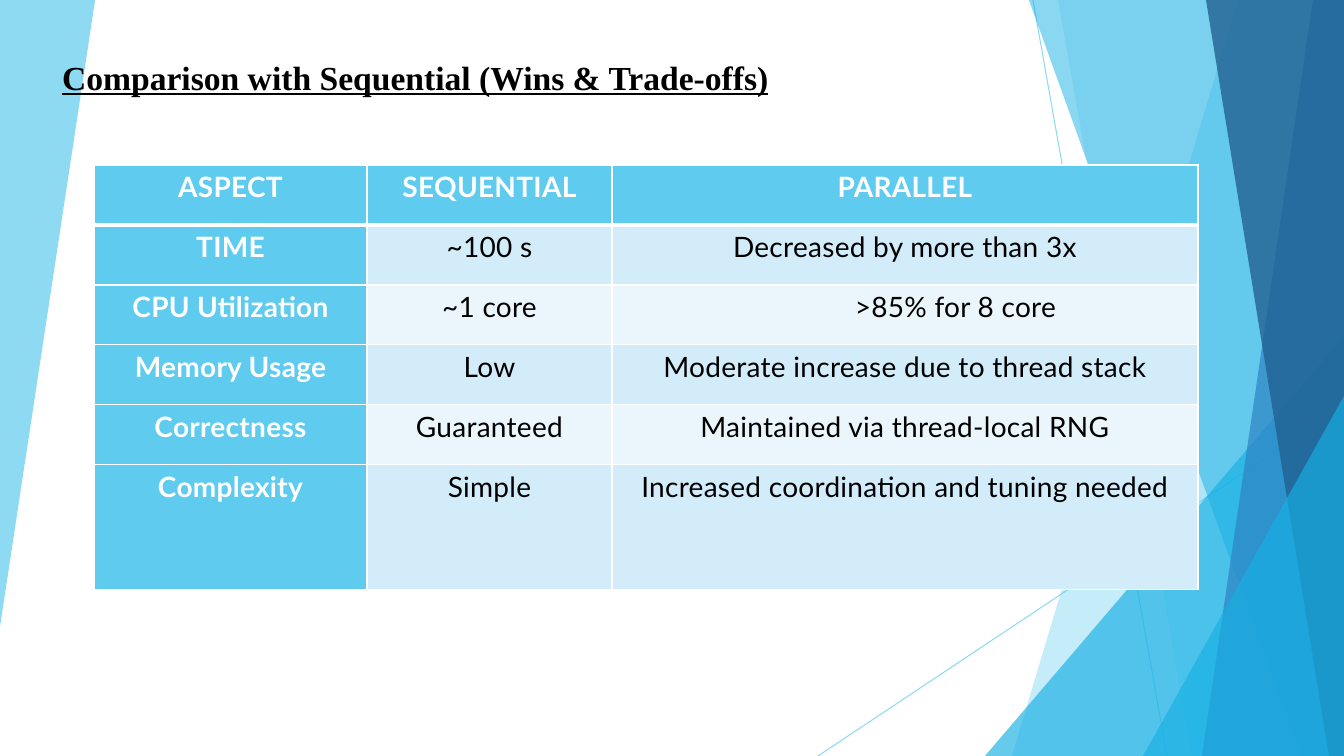
"""Build the slide that compares sequential and parallel runs."""
from lxml import etree
from pptx import Presentation
from pptx.dml.color import RGBColor
from pptx.enum.shapes import MSO_CONNECTOR, MSO_SHAPE
from pptx.enum.text import MSO_ANCHOR, MSO_AUTO_SIZE, PP_ALIGN
from pptx.oxml.ns import qn
from pptx.util import Emu, Pt

STRAIGHT = MSO_CONNECTOR.STRAIGHT
TRIANGLE = MSO_SHAPE.ISOSCELES_TRIANGLE
MIDDLE = MSO_ANCHOR.MIDDLE
NO_FIT = MSO_AUTO_SIZE.NONE
LEFT, CENTER = PP_ALIGN.LEFT, PP_ALIGN.CENTER


class Theme:
    sky, cyan, blue, navy = "5FCBEF", "17B0E4", "2E83C3", "226292"
    white, black = "FFFFFF", "000000"
    bands = "D2ECF9", "EAF6FC"
    head_font, body_font = "Times New Roman", "Lato"
    head_size, body_size = 24, 20
    thin, thick, ray = 1, 3, 0.75


TITLE = "Comparison with Sequential (Wins & Trade-offs)"
ROWS = [
    ("ASPECT", "SEQUENTIAL", "PARALLEL"),
    ("TIME", "~100 s", "Decreased by more than 3x"),
    ("CPU Utilization", "~1 core", ">85% for 8 core"),
    ("Memory Usage", "Low", "Moderate increase due to thread stack"),
    ("Correctness", "Guaranteed", "Maintained via thread-local RNG"),
    ("Complexity", "Simple", "Increased coordination and tuning needed"),
]
SHIFTED = (2, 2)
SHIFT = 101

WIDE, HIGH = 1344, 756
SCALE = 914400 / 100.8
TITLE_BOX = (52, 52, 1240, 50)
TABLE_AT = (94, 165)
COLS = (273, 245, 586)
HEIGHTS = (60, 60, 60, 60, 60, 125)
RAYS = [((1033, 0), (1167, HIGH)), ((WIDE, 406), (818, HIGH))]
FLANK = [(0, 0), (95, 0), (95, 1), (0, 627)]
SHARDS = [
    ("pane", 1238, 1012, Theme.sky, 36),
    ("pane", 1058, 1192, Theme.sky, 20),
    ("wedge", 985, 336, Theme.cyan, 66),
    ("pane", 1029, 1301, Theme.cyan, 50),
    ("pane", 1313, 1202, Theme.blue, 70),
    ("pane", 1206, 1329, Theme.navy, 80),
    ("wedge", 1143, 396, Theme.cyan, 66),
]


def px(*nums):
    return [Emu(round(num * SCALE)) for num in nums]


def rgb(code):
    return RGBColor.from_string(code)


def fade(fill, share):
    color = next(fill.iter(qn("a:srgbClr")))
    etree.SubElement(color, qn("a:alpha"), val=str(share * 1000))


def paint(shape, color, share):
    shape.shadow.inherit = False
    shape.fill.solid()
    shape.fill.fore_color.rgb = rgb(color)
    shape.line.fill.background()
    fade(shape.fill._xPr.find(qn("a:solidFill")), share)


def draw_pane(shapes, points, color, share):
    pen = shapes.build_freeform(*points[0], scale=SCALE)
    pen.add_line_segments(points[1:], close=True)
    paint(pen.convert_to_shape(), color, share)


def draw_wedge(shapes, left, top, color, share):
    box = px(left, top, WIDE - left, HIGH - top)
    wedge = shapes.add_shape(TRIANGLE, *box)
    wedge.adjustments[0] = 1
    paint(wedge, color, share)


def draw_ray(shapes, start, end):
    ray = shapes.add_connector(STRAIGHT, *px(*start, *end))
    ray.line.color.rgb = rgb(Theme.sky)
    ray.line.width = Pt(Theme.ray)
    props = ray._element.spPr
    fade(props.find(qn("a:ln")), 70)
    etree.SubElement(props, qn("a:effectLst"))


def draw_scene(shapes):
    draw_pane(shapes, FLANK, Theme.sky, 70)
    for start, end in RAYS:
        draw_ray(shapes, start, end)
    for kind, first, second, color, share in SHARDS:
        if kind == "wedge":
            draw_wedge(shapes, first, second, color, share)
        else:
            points = [(first, 0), (WIDE, 0), (WIDE, HIGH), (second, HIGH)]
            draw_pane(shapes, points, color, share)


def set_font(run, face, size, color, bold):
    font = run.font
    font.name, font.size, font.bold = face, Pt(size), bold
    font.color.rgb = rgb(color)


def rule_cell(cell, row):
    props = cell._tc.get_or_add_tcPr()
    widths = {
        "lnL": Theme.thin,
        "lnR": Theme.thin,
        "lnT": Theme.thick if row == 1 else Theme.thin,
        "lnB": Theme.thick if row == 0 else Theme.thin,
    }
    for side, width in widths.items():
        line = etree.SubElement(props, qn("a:" + side), w=str(Pt(width)))
        fill = etree.SubElement(line, qn("a:solidFill"))
        etree.SubElement(fill, qn("a:srgbClr"), val=Theme.white)


def fill_cell(cell, text, row, col):
    key = row == 0 or col == 0
    rule_cell(cell, row)
    cell.fill.solid()
    cell.fill.fore_color.rgb = rgb(Theme.sky if key else Theme.bands[(row - 1) % 2])
    cell.margin_left, cell.margin_right = px(7, 7)
    cell.margin_top = cell.margin_bottom = 0
    cell.text_frame.text = text
    para = cell.text_frame.paragraphs[0]
    para.alignment = CENTER
    para.line_spacing = 1.15
    para.space_before, para.space_after = Pt(6), Pt(8)
    if (row, col) == SHIFTED:
        props = para._p.get_or_add_pPr()
        props.set("marL", str(px(SHIFT)[0]))
        props.set("indent", "0")
    run = para.runs[0]
    color = Theme.white if key else Theme.black
    set_font(run, Theme.body_font, Theme.body_size, color, key)
    run._r.get_or_add_rPr().set("spc", "20")


def draw_table(shapes):
    box = px(*TABLE_AT, sum(COLS), sum(HEIGHTS))
    table = shapes.add_table(len(ROWS), len(COLS), *box).table
    for col, width in zip(table.columns, px(*COLS)):
        col.width = width
    for row, height in zip(table.rows, px(*HEIGHTS)):
        row.height = height
    for row, texts in enumerate(ROWS):
        for col, text in enumerate(texts):
            fill_cell(table.cell(row, col), text, row, col)


def draw_title(shapes):
    title = shapes.title
    title.left, title.top, title.width, title.height = px(*TITLE_BOX)
    frame = title.text_frame
    frame.text = TITLE
    frame.word_wrap = True
    frame.auto_size = NO_FIT
    frame.vertical_anchor = MIDDLE
    para = frame.paragraphs[0]
    para.alignment = LEFT
    run = para.runs[0]
    set_font(run, Theme.head_font, Theme.head_size, Theme.black, True)
    run.font.underline = True
    shapes._spTree.append(title._element)


def main():
    deck = Presentation()
    deck.slide_width, deck.slide_height = px(WIDE, HIGH)
    shapes = deck.slides.add_slide(deck.slide_layouts[5]).shapes
    draw_scene(shapes)
    draw_table(shapes)
    draw_title(shapes)
    deck.save("out.pptx")


if __name__ == "__main__":
    main()
